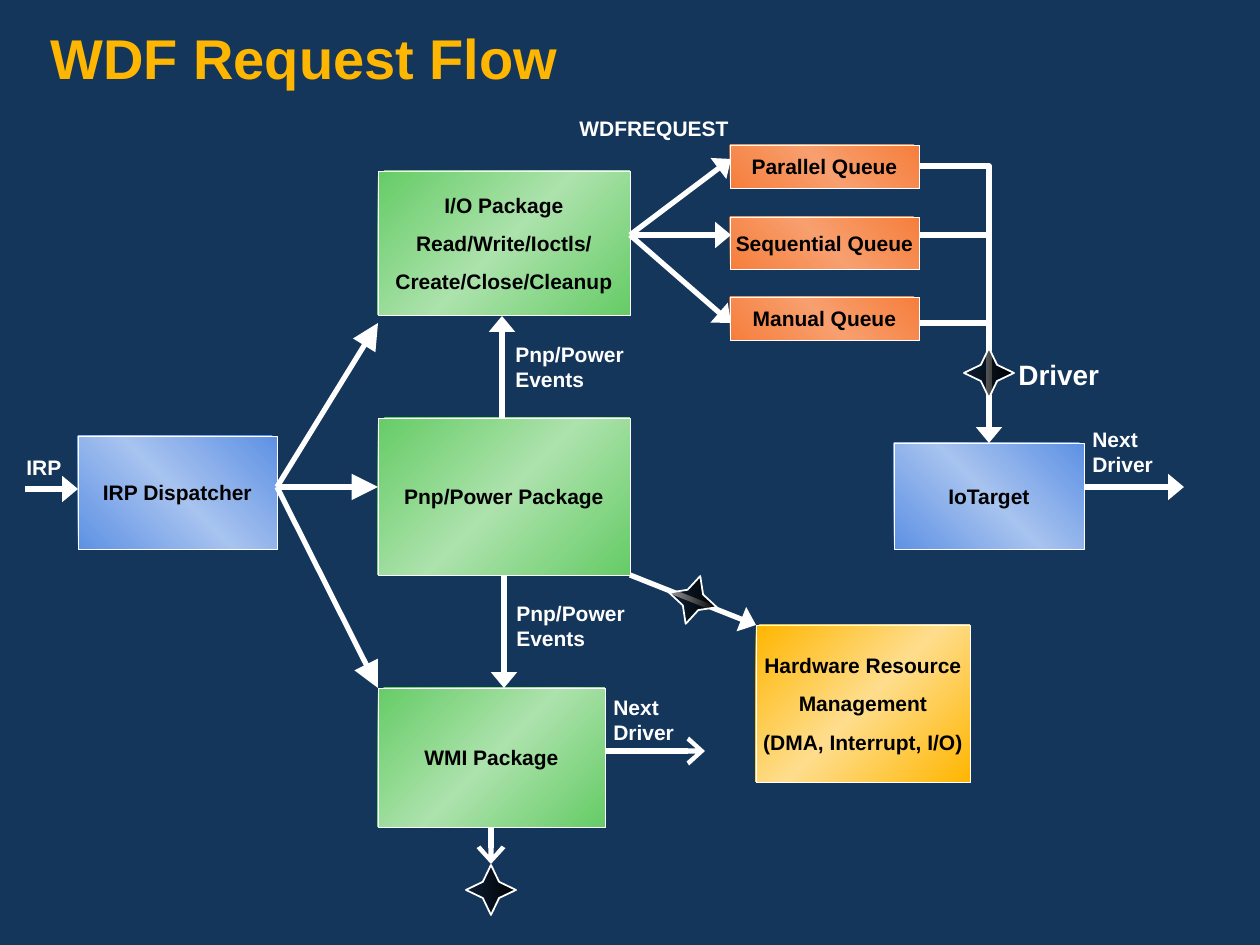
from lxml import etree
from pptx import Presentation
from pptx import util as u
from pptx.dml.color import RGBColor
from pptx.enum import shapes, text
from pptx.oxml.ns import qn

PX = u.Inches(1) / 126
FONT = "Arial"
COLORS = {
    "navy": "15365B", "gold": "FFB601", "pale gold": "FEDD8D",
    "blue": "5E91E4", "pale blue": "A7C3EF",
    "green": "66CC66", "pale green": "ACE2AC",
    "orange": "F67E3C", "pale orange": "F79F6E",
    "white": "FFFFFF", "black": "000000",
}
BAND_ANGLES = {"blue": 135, "orange": 135, "green": 225, "gold": 225}


def px(*lengths):
    return [u.Emu(round(length * PX)) for length in lengths]


def rgb(name):
    return RGBColor.from_string(COLORS[name])


def set_gradient(shape, stops, angle):
    """Fill with (position %, colour, opacity %) stops, angle clockwise."""
    shape.fill.gradient()
    grad = shape._element.spPr.find(qn("a:gradFill"))
    stop_list = grad.find(qn("a:gsLst"))
    for old_stop in list(stop_list):
        stop_list.remove(old_stop)
    for position, color, opacity in stops:
        stop = etree.SubElement(stop_list, qn("a:gs"), pos=str(position * 1000))
        value = etree.SubElement(stop, qn("a:srgbClr"), val=COLORS[color])
        if opacity < 100:
            etree.SubElement(value, qn("a:alpha"), val=str(opacity * 1000))
    grad.find(qn("a:lin")).set("ang", str(angle * 60000))


def set_outline(line, width):
    line.color.rgb = rgb("white")
    line.width = u.Pt(width)


def write(frame, lines, size, color, align):
    for i, line in enumerate(lines):
        paragraph = frame.add_paragraph() if i else frame.paragraphs[0]
        paragraph.alignment = align
        if i:
            paragraph.space_before = u.Pt(7.5)
        run = paragraph.add_run()
        run.text = line
        run.font.name = FONT
        run.font.size = u.Pt(size)
        run.font.bold = True
        run.font.color.rgb = rgb(color)


def add_title(slide, title):
    frame = slide.shapes.add_textbox(*px(0, 0, 1260, 95)).text_frame
    frame.word_wrap = True
    frame.margin_left = frame.margin_right = u.Inches(0.4)
    frame.margin_top = u.Inches(0.25)
    write(frame, [title], 32, "gold", text.PP_ALIGN.LEFT)
    frame.paragraphs[0].line_spacing = 0.9


def add_box(slide, bounds, color, *lines):
    box = slide.shapes.add_shape(shapes.MSO_SHAPE.RECTANGLE, *px(*bounds))
    box.shadow.inherit = False
    stops = [(0, color, 100), (50, "pale " + color, 100), (100, color, 100)]
    set_gradient(box, stops, BAND_ANGLES[color])
    set_outline(box.line, 0.25)
    box.text_frame.word_wrap = False
    box.text_frame.vertical_anchor = text.MSO_ANCHOR.MIDDLE
    write(box.text_frame, lines, 12, "black", text.PP_ALIGN.CENTER)


def add_label(slide, bounds, wording, size=12, anchor=text.MSO_ANCHOR.TOP):
    frame = slide.shapes.add_textbox(*px(*bounds)).text_frame
    frame.word_wrap = True
    frame.auto_size = text.MSO_AUTO_SIZE.SHAPE_TO_FIT_TEXT
    frame.vertical_anchor = anchor
    write(frame, [wording], size, "white", text.PP_ALIGN.LEFT)


def add_flow(slide, start, end, head="triangle", head_length="med", bent=False):
    kind = shapes.MSO_CONNECTOR.ELBOW if bent else shapes.MSO_CONNECTOR.STRAIGHT
    flow = slide.shapes.add_connector(kind, *px(*start, *end))
    set_outline(flow.line, 3)
    properties = flow._element.spPr
    if bent:
        properties.find(qn("a:prstGeom")).set("prst", "bentConnector2")
    if head:
        etree.SubElement(flow.line._get_or_add_ln(), qn("a:tailEnd"),
                         type=head, w="lg", len=head_length)
    etree.SubElement(properties, qn("a:effectLst"))


def add_driver_star(slide, center, rotation=0):
    x, y = center
    star = slide.shapes.add_shape(shapes.MSO_SHAPE.STAR_4_POINT,
                                  *px(x - 25, y - 25, 50, 50))
    star.adjustments[0] = 0.23
    star.shadow.inherit = False
    star.rotation = rotation
    set_gradient(star, [(0, "black", 100), (100, "black", 40)], 180 - rotation)
    set_outline(star.line, 1)


def main():
    deck = Presentation()
    deck.slide_width, deck.slide_height = px(1260, 945)
    slide = deck.slides.add_slide(deck.slide_layouts[6])
    slide.background.fill.solid()
    slide.background.fill.fore_color.rgb = rgb("navy")
    add_title(slide, "WDF Request Flow")

    # Dispatcher, packages, queues and target
    add_box(slide, (78, 436, 199, 113), "blue", "IRP Dispatcher")
    add_box(slide, (378, 418, 252, 157), "green", "Pnp/Power Package")
    add_box(slide, (378, 171, 252, 144), "green",
            "I/O Package", "Read/Write/Ioctls/", "Create/Close/Cleanup")
    add_box(slide, (378, 688, 227, 139), "green", "WMI Package")
    add_box(slide, (756, 625, 214, 157), "gold",
            "Hardware Resource", "Management", "(DMA, Interrupt, I/O)")
    for top, height, queue in ((145, 43, "Parallel Queue"),
                               (217, 52, "Sequential Queue"),
                               (297, 43, "Manual Queue")):
        add_box(slide, (730, top, 189, height), "orange", queue)
    add_box(slide, (894, 443, 190, 106), "blue", "IoTarget")

    # Fan out from the dispatcher and from the I/O package
    add_flow(slide, (277, 512), (277, 512), head_length="lg")
    for package_entry in ((378, 487), (378, 323), (378, 688)):
        add_flow(slide, (277, 487), package_entry, head_length="lg")
    for queue_y in (159, 235, 323):
        add_flow(slide, (630, 235), (731, queue_y))

    # Queues merge on the way to the target
    add_flow(slide, (920, 166), (989, 443), bent=True)
    for queue_y in (235, 323):
        add_flow(slide, (920, queue_y), (989, queue_y), head=None)

    # Single flows
    for start, end in (((25, 489), (78, 489)),
                       ((1084, 487), (1184, 487)),
                       ((502, 418), (502, 316)),
                       ((504, 575), (504, 688)),
                       ((630, 575), (756, 625))):
        add_flow(slide, start, end)
    add_flow(slide, (605, 751), (705, 751), head="arrow")

    # Driver callbacks
    add_driver_star(slide, (989, 373))
    add_driver_star(slide, (693, 600), rotation=17)
    add_driver_star(slide, (491, 890))
    add_flow(slide, (491, 827), (491, 864), head="arrow")

    # Labels
    middle = text.MSO_ANCHOR.MIDDLE
    add_label(slide, (567, 109, 189, 38), "WDFREQUEST", anchor=middle)
    add_label(slide, (1006, 351, 120, 46), "Driver", size=16, anchor=middle)
    add_label(slide, (14, 448, 79, 38), "IRP")
    for left, top in ((1080, 420), (601, 688)):
        add_label(slide, (left, top, 101, 63), "Next Driver")
    for left, top in ((503, 335), (504, 594)):
        add_label(slide, (left, top, 151, 63), "Pnp/Power Events")

    deck.save("out.pptx")


if __name__ == "__main__":
    main()
